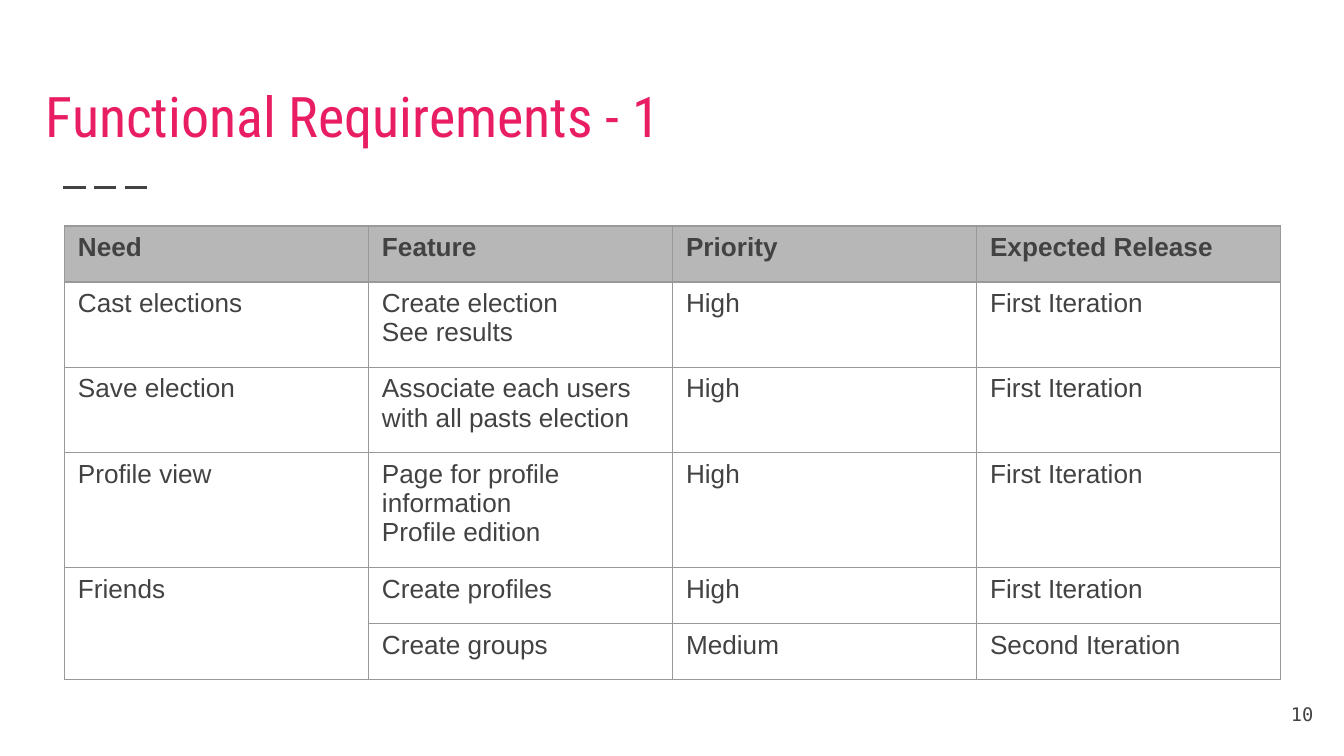
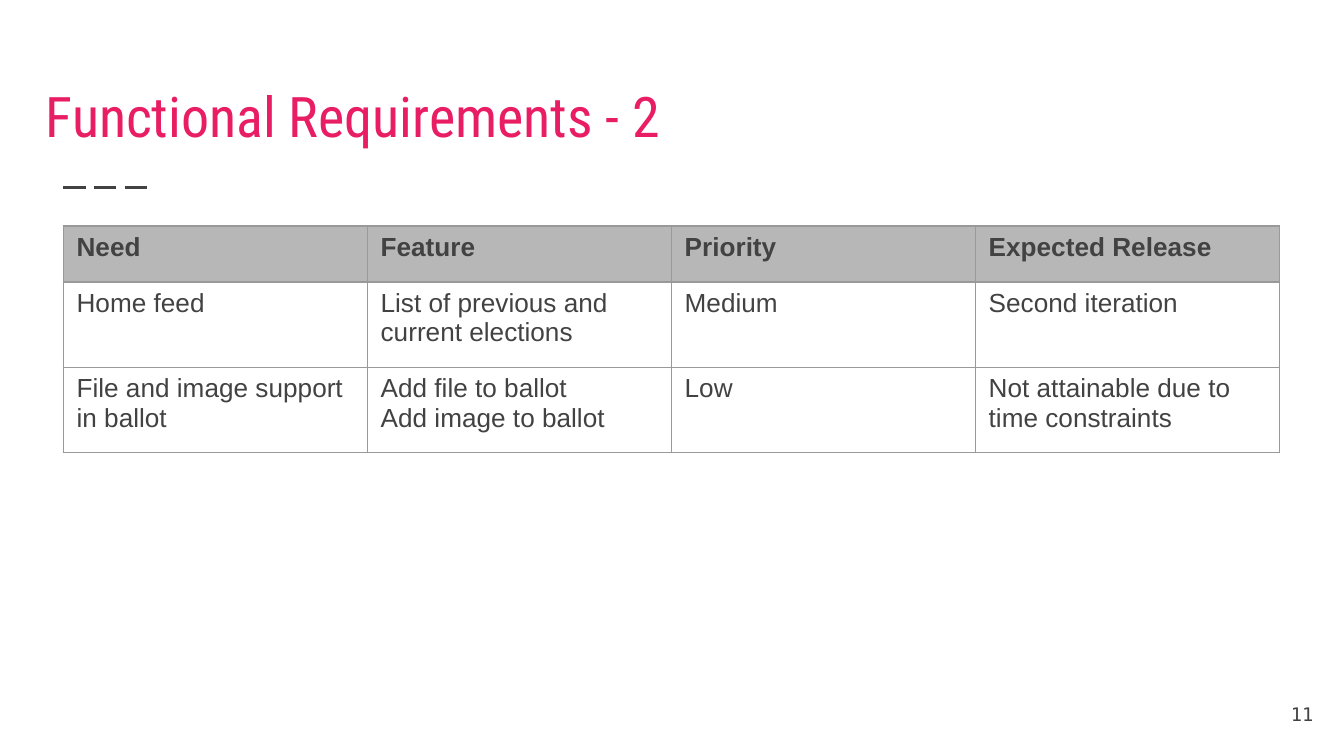
from lxml import etree
from pptx import Presentation
from pptx.dml.color import RGBColor
from pptx.enum.dml import MSO_LINE
from pptx.enum.shapes import MSO_CONNECTOR
from pptx.enum.text import MSO_ANCHOR, MSO_AUTO_SIZE, PP_ALIGN
from pptx.oxml import parse_xml
from pptx.oxml.ns import nsdecls, qn
from pptx.util import Inches, Pt

STRAIGHT = MSO_CONNECTOR.STRAIGHT
DASH = MSO_LINE.LONG_DASH
TOP, MIDDLE, BOTTOM = MSO_ANCHOR.TOP, MSO_ANCHOR.MIDDLE, MSO_ANCHOR.BOTTOM
LEFT, RIGHT = PP_ALIGN.LEFT, PP_ALIGN.RIGHT
FIXED = MSO_AUTO_SIZE.NONE

COLORS = {"title": "E91D63", "text": "424242", "head": "B7B7B7", "rule": "999999"}
# font, size, colour
TITLE = ("Roboto Condensed", 30, "title")
BODY = ("Arial", 14, "text")
NUMBER = ("DejaVu Sans Mono", 10, "text")

HEAD = ["Need", "Feature", "Priority", "Expected Release"]
# Row height in shares of the slide: one line, and each line more
ROW, LINE = 0.074, 0.039

# "\n" starts a paragraph, "\v" breaks a line; None joins the cell above.
# Each row starts with its number of text lines.
PAGES = [
    {"title": "Functional Requirements - 1", "number": "10", "left": 0.048, "rows": [
        (1, HEAD),
        (2, ["Cast elections", "Create election\vSee results", "High", "First Iteration"]),
        (2, ["Save election", "Associate each users with all pasts election",
             "High", "First Iteration"]),
        (3, ["Profile view", "Page for profile information\nProfile edition",
             "High", "First Iteration"]),
        (1, ["Friends", "Create profiles", "High", "First Iteration"]),
        (1, [None, "Create groups", "Medium", "Second Iteration"]),
    ]},
    {"title": "Functional Requirements - 2", "number": "11", "left": 0.047, "rows": [
        (1, HEAD),
        (2, ["Home feed", "List of previous and current elections",
             "Medium", "Second iteration"]),
        (2, ["File and image support in ballot", "Add file to ballot\nAdd image to ballot",
             "Low", "Not attainable due to time constraints"]),
    ]},
]

deck = Presentation()
deck.slide_width, deck.slide_height = Inches(10), Inches(5.625)


def place(x, y, w, h):
    """Turn shares of the slide into a left, top, width and height."""
    wide, high = deck.slide_width, deck.slide_height
    return int(x * wide), int(y * high), int(w * wide), int(h * high)


def write(frame, text, style, align=LEFT, bold=False):
    """Fill a text frame run by run in one style."""
    font, size, color = style
    for i, part in enumerate(text.split("\n")):
        para = frame.add_paragraph() if i else frame.paragraphs[0]
        para.alignment = align
        for j, piece in enumerate(part.split("\v")):
            if j:
                para.add_line_break()
            run = para.add_run()
            run.text = piece
            run.font.name, run.font.size, run.font.bold = font, Pt(size), bold
            run.font.color.rgb = RGBColor.from_string(COLORS[color])


for page in PAGES:
    slide = deck.slides.add_slide(deck.slide_layouts[5])

    # Dashed rule under the title
    x, y, w, h = place(0.047, 0.248, 0.067, 0)
    rule = slide.shapes.add_connector(STRAIGHT, x, y, x + w, y + h)
    rule.line.color.rgb = RGBColor.from_string(COLORS["text"])
    rule.line.width, rule.line.dash_style = Pt(1.5), DASH
    etree.SubElement(rule._element.spPr, qn("a:effectLst"))

    # Title
    title = slide.shapes.title
    title.left, title.top, title.width, title.height = place(0.034, 0.073, 0.932, 0.142)
    frame = title.text_frame
    frame.auto_size, frame.word_wrap, frame.vertical_anchor = FIXED, True, BOTTOM
    frame.margin_left = frame.margin_right = 0
    frame.margin_top = frame.margin_bottom = Inches(0.1)
    write(frame, page["title"], TITLE)

    # Page number
    frame = slide.shapes.add_textbox(*place(0.927, 0.907, 0.06, 0.076)).text_frame
    frame.word_wrap, frame.vertical_anchor = True, MIDDLE
    frame.margin_left = frame.margin_right = Inches(0.1)
    frame.margin_top = frame.margin_bottom = Inches(0.1)
    write(frame, page["number"], NUMBER, RIGHT)

    # Requirements table
    rows = page["rows"]
    highs = [ROW + LINE * (lines - 1) for lines, _ in rows]
    box = place(page["left"], 0.299, 0.905, sum(highs))
    table = slide.shapes.add_table(len(rows), len(HEAD), *box).table
    table.first_row = table.horz_banding = False
    for col in table.columns:
        col.width = box[2] // len(HEAD)
    for r, (_, texts) in enumerate(rows):
        table.rows[r].height = int(highs[r] * deck.slide_height)
        for c, text in enumerate(texts):
            cell = table.cell(r, c)
            cell.vertical_anchor = TOP
            cell.margin_left = cell.margin_right = Inches(0.1)
            cell.margin_top = cell.margin_bottom = Inches(0.05)
            if r:
                cell.fill.background()
            else:
                cell.fill.solid()
                cell.fill.fore_color.rgb = RGBColor.from_string(COLORS["head"])
            for i, side in enumerate("LRTB"):
                edge = parse_xml(
                    f'<a:ln{side} {nsdecls("a")} w="{Pt(0.75)}"><a:solidFill>'
                    f'<a:srgbClr val="{COLORS["rule"]}"/></a:solidFill></a:ln{side}>')
                cell._tc.get_or_add_tcPr().insert(i, edge)
            if text is None:
                table.cell(r - 1, c).merge(cell)
            else:
                write(cell.text_frame, text, BODY, bold=r == 0)

deck.save("out.pptx")
